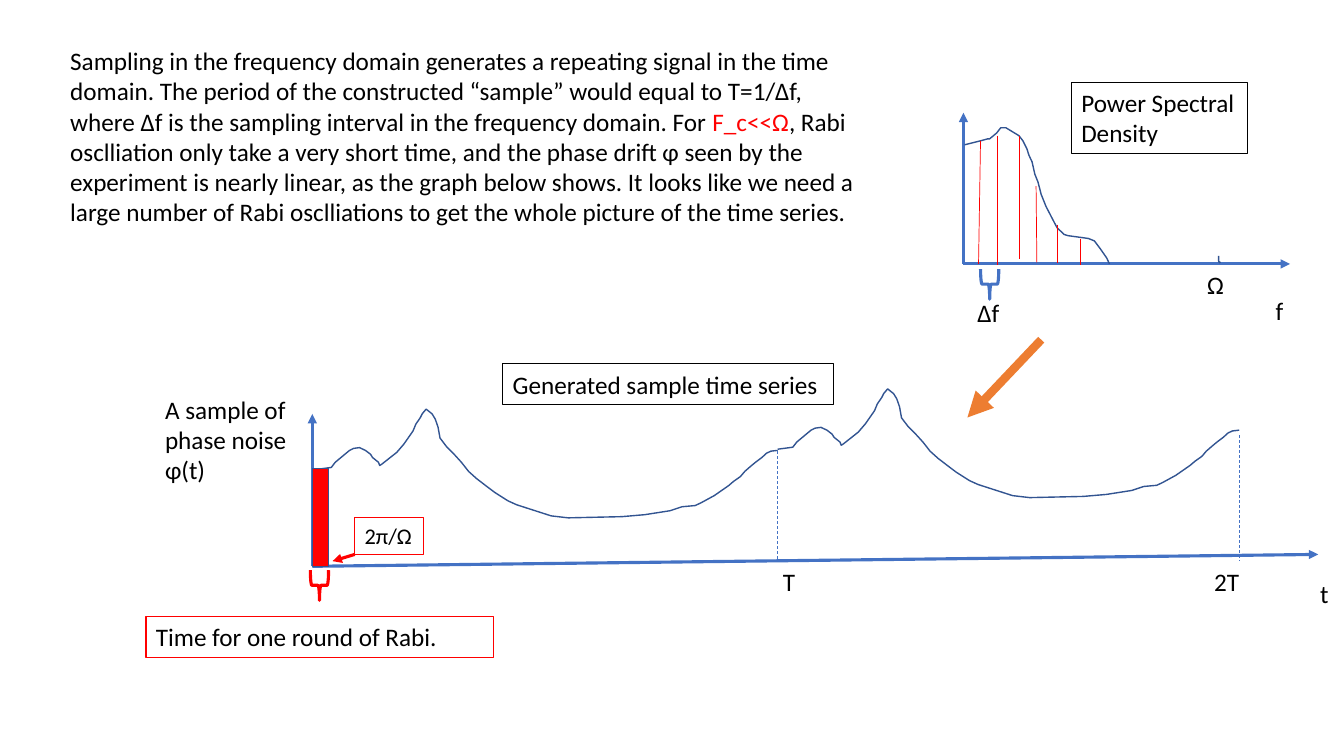
import pptx
import pptx.dml.color
import pptx.enum.dml
import pptx.enum.shapes
import pptx.enum.text
import pptx.oxml.ns
import pptx.util
from lxml import etree
from pptx.util import Cm

RGBColor = pptx.dml.color.RGBColor
BLACK = RGBColor(0x00, 0x00, 0x00)
RED = RGBColor(0xFF, 0x00, 0x00)
BLUE = RGBColor(0x44, 0x72, 0xC4)
CURVE_BLUE = RGBColor(0x32, 0x54, 0x91)
ORANGE = RGBColor(0xED, 0x7D, 0x31)
SHAPES = pptx.enum.shapes.MSO_SHAPE

# Curve points in cm: the spectrum from its axis corner, one period from its start
SPECTRUM = [
    (0.03, -3.0), (0.23, -3.05), (0.43, -3.1), (0.61, -3.15), (0.66, -3.15),
    (0.84, -3.3), (0.94, -3.43), (1.07, -3.43), (1.4, -3.23), (1.5, -3.1),
    (1.6, -2.9), (1.65, -2.74), (1.73, -2.57), (1.8, -2.26), (1.88, -2.06),
    (1.96, -1.75), (2.08, -1.45), (2.24, -1.14), (2.36, -0.91), (2.54, -0.74),
    (2.64, -0.71), (3.15, -0.64), (3.3, -0.58), (3.45, -0.38), (3.61, -0.15),
    (3.68, 0),
]
OMEGA_MARK = [(6.43, -0.2), (6.43, -0.08), (6.45, -0.03), (6.48, -0.05)]
PERIOD = [
    (0, 0), (0.38, -0.05), (0.48, -0.18), (0.66, -0.33), (0.84, -0.48),
    (0.94, -0.53), (1.09, -0.55), (1.24, -0.48), (1.37, -0.38), (1.42, -0.3),
    (1.57, -0.18), (1.6, -0.1), (1.65, -0.13), (2.03, -0.43), (2.21, -0.64),
    (2.44, -0.97), (2.51, -1.14), (2.62, -1.3), (2.67, -1.4), (2.77, -1.52),
    (2.92, -1.4), (3.0, -1.27), (3.07, -1.07), (3.12, -0.79), (3.28, -0.58),
    (3.45, -0.41), (3.66, -0.18), (3.84, 0.05), (4.04, 0.23), (4.34, 0.46),
    (4.5, 0.58), (4.83, 0.79), (5.05, 0.89), (5.36, 0.99), (5.92, 1.17),
    (6.35, 1.22), (7.7, 1.19), (8.28, 1.14), (8.92, 1.04), (9.22, 0.94),
    (9.55, 0.91), (9.7, 0.84), (10.03, 0.66), (10.39, 0.41), (10.52, 0.3),
    (10.69, 0.18), (10.8, 0.05), (10.95, -0.08), (11.07, -0.18),
    (11.23, -0.3), (11.35, -0.41), (11.46, -0.46), (11.63, -0.48),
]
# Sampling lines under the spectrum: top x, top y, bottom x, bottom y
SAMPLES = [
    (0.43, -3.1, 0.38, 0), (0.86, -3.23, 0.86, 0.03), (1.4, -3.23, 1.4, -0.13),
    (1.83, -1.96, 1.85, -0.03), (2.36, -0.99, 2.36, -0.03), (2.95, -0.64, 2.95, 0.03),
]


def set_line(shape, color, width):
    shape.line.color.rgb = color
    shape.line.width = pptx.util.Pt(width)


def add_line(slide, x1, y1, x2, y2, color, width, arrow=False, dashed=False):
    line = slide.shapes.add_connector(
        pptx.enum.shapes.MSO_CONNECTOR.STRAIGHT, Cm(x1), Cm(y1), Cm(x2), Cm(y2))
    set_line(line, color, width)
    if dashed:
        line.line.dash_style = pptx.enum.dml.MSO_LINE.DASH
    qn = pptx.oxml.ns.qn
    if arrow:
        etree.SubElement(line.line._get_or_add_ln(), qn("a:tailEnd"), type="triangle")
    etree.SubElement(line._element.spPr, qn("a:effectLst"))


def add_curve(slide, x, y, points):
    corners = [(Cm(x + dx), Cm(y + dy)) for dx, dy in points]
    builder = slide.shapes.build_freeform(*corners[0])
    builder.add_line_segments(corners[1:], close=False)
    curve = builder.convert_to_shape()
    curve.shadow.inherit = False
    curve.fill.background()
    set_line(curve, CURVE_BLUE, 1)


def add_shape(slide, kind, x, y, width, height, color, line_width, fill=None):
    shape = slide.shapes.add_shape(kind, Cm(x), Cm(y), Cm(width), Cm(height))
    shape.shadow.inherit = False
    if fill is None:
        shape.fill.background()
    else:
        shape.fill.solid()
        shape.fill.fore_color.rgb = fill
    set_line(shape, color, line_width)
    return shape


def add_brace(slide, x, y, color):
    brace = add_shape(slide, SHAPES.RIGHT_BRACE, x, y, 0.76, 0.46, color, 2.25)
    brace.rotation = 90


def add_label(slide, x, y, width, height, text, border=None, size=18):
    if border is None:
        label = slide.shapes.add_textbox(Cm(x), Cm(y), Cm(width), Cm(height))
    else:
        label = add_shape(slide, SHAPES.RECTANGLE, x, y, width, height, border, 0.75)
    frame = label.text_frame
    frame.word_wrap = True
    frame.vertical_anchor = pptx.enum.text.MSO_ANCHOR.TOP
    frame.text = text
    for paragraph in frame.paragraphs:
        paragraph.alignment = pptx.enum.text.PP_ALIGN.LEFT
        for run in paragraph.runs:
            format_run(run, BLACK, size)
    return label


def format_run(run, color, size=18):
    run.font.name = "Calibri"
    run.font.size = pptx.util.Pt(size)
    run.font.color.rgb = color


def add_explanation(slide, x, y, width, height):
    label = add_label(
        slide, x, y, width, height,
        "Sampling in the frequency domain generates a repeating signal in the time "
        "domain. The period of the constructed “sample” would equal to T=1/Δf, where "
        "Δf is the sampling interval in the frequency domain. For ")
    paragraph = label.text_frame.paragraphs[0]
    for text, color in [
        ("F_c<<Ω", RED),
        (", Rabi osclliation only take a very short time, and the phase drift φ seen "
         "by the experiment is nearly linear, as the graph below shows. It looks like "
         "we need a large number of Rabi osclliations to get the whole picture of the "
         "time series.", BLACK),
    ]:
        run = paragraph.add_run()
        run.text = text
        format_run(run, color)


def add_spectrum(slide, x, y, width, height):
    """Draw the power spectrum; x, y is the corner where its axes meet."""
    add_line(slide, x, y, x, y - height, BLUE, 2.25, arrow=True)
    add_line(slide, x, y, x + width, y, BLUE, 2.25, arrow=True)
    add_curve(slide, x, y, SPECTRUM)
    add_curve(slide, x, y, OMEGA_MARK)
    for x1, y1, x2, y2 in SAMPLES:
        add_line(slide, x + x1, y + y1, x + x2, y + y2, RED, 0.5)
    # Labels and sampling interval
    add_label(slide, x + 7.62, y + 0.66, 1.12, 1.02, "f")
    add_label(slide, x + 5.89, y, 1.07, 1.02, "Ω")
    add_label(slide, x + 0.1, y + 0.71, 1.09, 1.02, "Δf")
    add_brace(slide, x + 0.28, y + 0.28, BLUE)
    add_label(slide, x + 2.72, y - 4.57, 4.45, 1.8, "Power Spectral Density", BLACK)


def add_time_series(slide, x, y, width, height):
    """Draw two periods of phase noise; x, y is the corner where the axes meet."""
    add_line(slide, x, y, x, y - height, BLUE, 2.25, arrow=True)
    add_line(slide, x, y, x + width, y - 0.3, BLUE, 2.25, arrow=True)
    # Repeated signal with a dashed mark at the end of each period
    period, rise = 11.63, 0.51
    for index, (name, name_x, name_width) in enumerate(
            [("Τ", 11.61, 1.02), ("2Τ", 22.48, 1.32)]):
        add_curve(slide, x + 0.1 + index * period, y - 2.44 - index * rise, PERIOD)
        end = x + 0.1 + (index + 1) * period
        add_line(slide, end, y - 2.9 - index * 0.4, end, y - 0.14, BLUE, 0.5, dashed=True)
        add_label(slide, x + name_x, y - 0.13, name_width, 1.02, name)
    add_label(slide, x + 25.15, y + 0.18, 1.02, 1.02, "t")
    add_label(slide, x - 3.96, y - 4.47, 3.66, 2.57, "A sample of\nphase noise φ(t)")
    add_label(slide, x + 4.8, y - 5.1, 8.33, 1.02, "Generated sample time series", BLACK)
    # One round of Rabi
    add_shape(slide, SHAPES.RECTANGLE, x, y - 2.46, 0.41, 2.46, CURVE_BLUE, 1, RED)
    add_brace(slide, x - 0.2, y + 0.25, RED)
    add_label(slide, x - 4.19, y + 1.27, 8.76, 1.02, "Time for one round of Rabi.", RED)
    add_label(slide, x + 1.07, y - 1.24, 1.73, 0.94, "2π/Ω", RED, 16)
    add_line(slide, x + 1.07, y - 0.3, x + 0.51, y - 0.13, RED, 2.25, arrow=True)


def main():
    deck = pptx.Presentation()
    deck.slide_width, deck.slide_height = Cm(33.87), Cm(19.05)
    slide = deck.slides.add_slide(deck.slide_layouts[6])
    add_explanation(slide, 1.52, 1.02, 20.42, 4.88)
    add_time_series(slide, 7.87, 14.27, 25.35, 3.84)
    add_spectrum(slide, 24.28, 6.65, 8.23, 3.81)
    # From spectrum to time series
    add_line(slide, 26.24, 8.56, 24.38, 10.52, ORANGE, 6, arrow=True)
    deck.save("out.pptx")


if __name__ == "__main__":
    main()
